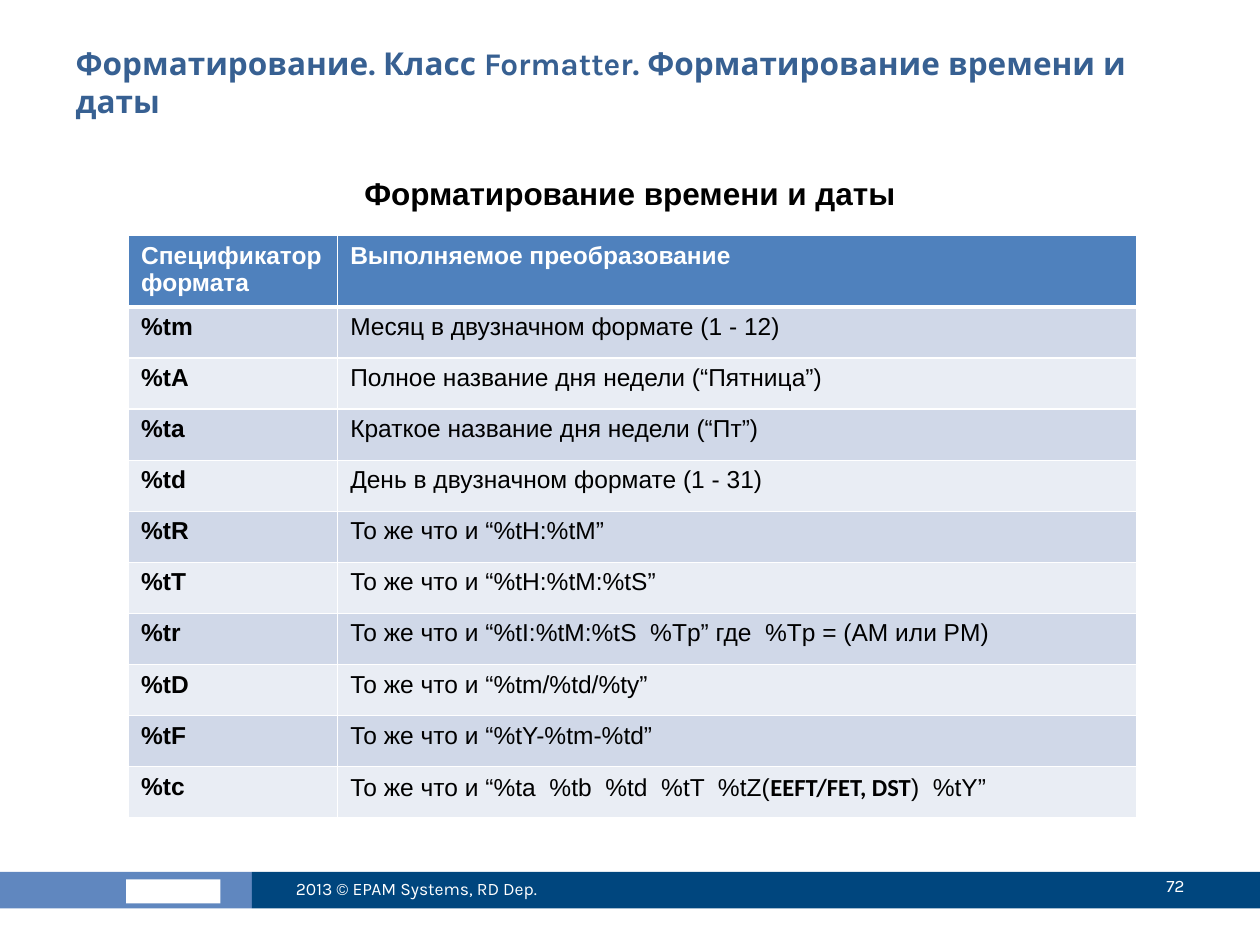
import pptx
import pptx.dml.color
import pptx.enum.shapes
import pptx.enum.text
import pptx.oxml
import pptx.oxml.ns
import pptx.util

Inches = pptx.util.Inches
Pt = pptx.util.Pt
ALIGN = pptx.enum.text.PP_ALIGN
ANCHOR = pptx.enum.text.MSO_ANCHOR

COLORS = {
    "title": "376092",
    "text": "000000",
    "white": "FFFFFF",
    "header": "4F81BD",
    "odd_row": "D0D8E8",
    "even_row": "E9EDF4",
    "light_bar": "6087BF",
    "dark_bar": "00467E",
}

HEADINGS = ("Спецификатор формата", "Выполняемое преобразование")
SPECIFIERS = [
    ("%tm", "Месяц в двузначном формате (1 - 12)"),
    ("%tA", "Полное название дня недели (“Пятница”)"),
    ("%ta", "Краткое название дня недели (“Пт”)"),
    ("%td", "День в двузначном формате (1 - 31)"),
    ("%tR", "То же что и “%tH:%tM”"),
    ("%tT", "То же что и “%tH:%tM:%tS”"),
    ("%tr", "То же что и “%tI:%tM:%tS  %Tp” где  %Tp = (AM или PM)"),
    ("%tD", "То же что и “%tm/%td/%ty”"),
    ("%tF", "То же что и “%tY-%tm-%td”"),
    ("%tc", "То же что и “%ta  %tb  %td  %tT  %tZ(", "EEFT/FET, DST", ")  %tY”"),
]


def rgb(name):
    return pptx.dml.color.RGBColor.from_string(COLORS[name])


def style_font(font, name, size, color, bold=False):
    font.name = name
    font.size = Pt(size)
    font.color.rgb = rgb(color)
    font.bold = bold


def add_title(page, left, top, width, height):
    title = page.shapes.title
    title.left, title.top, title.width, title.height = left, top, width, height
    frame = title.text_frame
    frame.text = "Форматирование. Класс Formatter. Форматирование времени и даты"
    frame.word_wrap = True
    frame.auto_size = pptx.enum.text.MSO_AUTO_SIZE.NONE
    frame.vertical_anchor = ANCHOR.TOP
    para = frame.paragraphs[0]
    para.alignment = ALIGN.LEFT
    style_font(para.font, "Karla", 18, "title", True)


def add_text(page, left, top, width, height, text, alignment, anchor, **style):
    frame = page.shapes.add_textbox(left, top, width, height).text_frame
    frame.word_wrap = True
    frame.vertical_anchor = anchor
    para = frame.paragraphs[0]
    para.text = text
    para.alignment = alignment
    style_font(para.font, **style)


def add_block(page, left, top, width, height, color):
    block = page.shapes.add_shape(
        pptx.enum.shapes.MSO_SHAPE.RECTANGLE, left, top, width, height)
    block.shadow.inherit = False
    block.fill.solid()
    block.fill.fore_color.rgb = rgb(color)
    block.line.fill.background()


def set_borders(cell, bottom=1, top=1):
    properties = cell._tc.get_or_add_tcPr()
    widths = (("lnL", 1), ("lnR", 1), ("lnT", top), ("lnB", bottom))
    for position, (side, points) in enumerate(widths):
        properties.insert(position, pptx.oxml.parse_xml(
            f'<a:{side} {pptx.oxml.ns.nsdecls("a")} w="{Pt(points)}"><a:solidFill>'
            f'<a:srgbClr val="{COLORS["white"]}"/></a:solidFill></a:{side}>'))


def fill_cell(cell, pieces, fill, color, bold):
    cell.fill.solid()
    cell.fill.fore_color.rgb = rgb(fill)
    para = cell.text_frame.paragraphs[0]
    for piece in pieces:
        para.add_run().text = piece
    style_font(para.font, "Arial", 14, color, bold)


def add_specifier_table(page, left, top, width, height):
    table = page.shapes.add_table(
        len(SPECIFIERS) + 1, 2, left, top, width, height).table
    table.columns[0].width = Inches(1.66)
    table.columns[1].width = width - Inches(1.66)
    for column, heading in enumerate(HEADINGS):
        cell = table.cell(0, column)
        fill_cell(cell, [heading], "header", "white", True)
        set_borders(cell, bottom=3)
    for row, (specifier, *meaning) in enumerate(SPECIFIERS, 1):
        fill = "odd_row" if row % 2 else "even_row"
        for column, pieces in enumerate(([specifier], meaning)):
            cell = table.cell(row, column)
            fill_cell(cell, pieces, fill, "text", column == 0)
            set_borders(cell, top=3 if row == 1 else 1)
    zone = table.cell(len(SPECIFIERS), 1).text_frame.paragraphs[0].runs[1]
    zone.font.name = "Calibri"
    zone.font.bold = True


def add_footer(page, left, top, width, height):
    split = Inches(2)
    add_block(page, left, top, split, height, "light_bar")
    add_block(page, left + Inches(1), top + Inches(0.06),
              Inches(0.75), Inches(0.19), "white")
    add_block(page, left + split, top, width - split, height, "dark_bar")
    style = dict(name="Karla", size=10, color="white")
    add_text(page, left + Inches(2.25), top - Inches(0.07), Inches(2.67), Inches(0.4),
             "2013 © EPAM Systems, RD Dep.", ALIGN.LEFT, ANCHOR.MIDDLE, **style)
    add_text(page, left + Inches(8.42), top - Inches(0.09), Inches(1.08), Inches(0.4),
             "72", ALIGN.RIGHT, ANCHOR.MIDDLE, **style)


def main():
    deck = pptx.Presentation()
    deck.slide_width, deck.slide_height = Inches(10), Inches(7.5)
    page = deck.slides.add_slide(deck.slide_layouts[5])
    add_footer(page, Inches(0), Inches(6.92), Inches(10), Inches(0.29))
    add_title(page, Inches(0.5), Inches(0.3), Inches(9), Inches(0.78))
    add_specifier_table(page, Inches(1.02), Inches(1.87), Inches(8), Inches(4.46))
    add_text(page, Inches(1), Inches(1.33), Inches(8), Inches(5.25),
             "Форматирование времени и даты", ALIGN.CENTER, ANCHOR.TOP,
             name="Arial", size=18, color="text", bold=True)
    deck.save("out.pptx")


if __name__ == "__main__":
    main()
